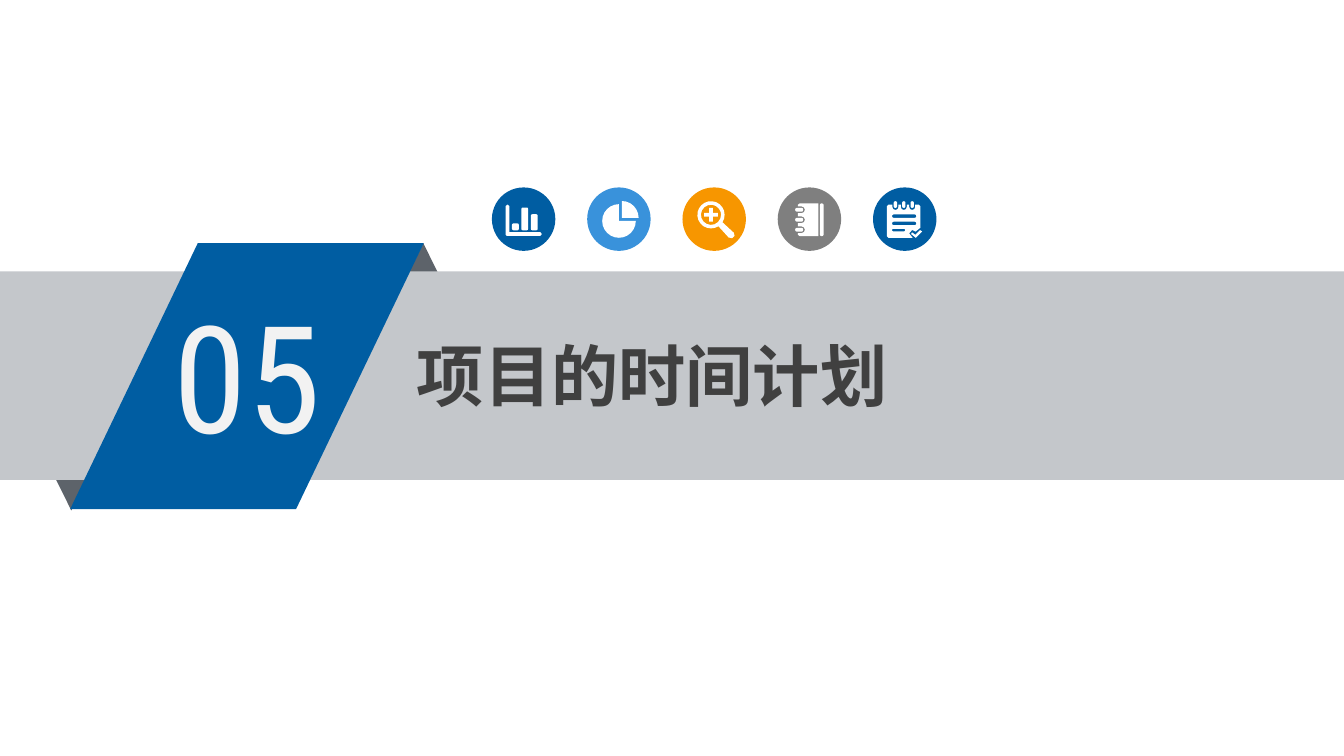
from math import cos, radians, sin
from lxml.etree import SubElement
from pptx import Presentation
from pptx.dml.color import RGBColor
from pptx.enum.shapes import MSO_SHAPE as Preset
from pptx.enum.text import MSO_ANCHOR as Anchor, MSO_AUTO_SIZE as AutoSize, PP_ALIGN as Align
from pptx.oxml.ns import qn
from pptx.util import Pt

BLUE = RGBColor(0x00, 0x5D, 0xA2)
SKY = RGBColor(0x39, 0x92, 0xDB)
ORANGE = RGBColor(0xF7, 0x96, 0x00)
GRAY = RGBColor(0x7F, 0x7F, 0x7F)
BAND = RGBColor(0xC4, 0xC7, 0xCB)
FOLD = RGBColor(0x5D, 0x63, 0x6A)
INK = RGBColor(0x40, 0x40, 0x40)
PALE = RGBColor(0xF2, 0xF2, 0xF2)
WHITE = RGBColor(0xFF, 0xFF, 0xFF)

SECTION_NUMBER = "05"
SECTION_TITLE = "项目的时间计划"

ICON_LEFT, ICON_TOP, ICON_SIZE, ICON_PITCH = 263.5, 100.4, 34, 51.05


def arc(x, y, radius, start, end, steps):
    angles = [radians(start + (end - start) * step / steps) for step in range(steps + 1)]
    return [(x + radius * cos(angle), y + radius * sin(angle)) for angle in angles]


def block(x, y, w, h, radius=0.8):
    corners = [
        (x + w - radius, y + h - radius, 0), (x + radius, y + h - radius, 90),
        (x + radius, y + radius, 180), (x + w - radius, y + radius, 270),
    ]
    return [point for cx, cy, start in corners for point in arc(cx, cy, radius, start, start + 90, 2)]


ring_rows = (12, 17.35, 22.7)
hook_columns = (12, 16.5, 21)
page_notches = [point for y in reversed(ring_rows)
                for point in [(10.8, y + 1.8)] + arc(12.8, y, 1.8, 90, -90, 4) + [(10.8, y - 1.8)]]
pad_notches = [point for x in hook_columns
               for point in [(x - 1.6, 9.3)] + arc(x, 10.5, 1.6, 180, 0, 4) + [(x + 1.6, 9.3)]]

bar_chart = [
    [(7.4, 10), (8.4, 9.2), (9.4, 10), (9.4, 24), (26, 24), (26.8, 25), (26, 26), (8, 26), (7.4, 25.4)],
    block(10.8, 19.3, 3.7, 3.7), block(15.8, 10.8, 3.7, 12.2), block(20.9, 14.4, 3.7, 8.6),
]
pie_chart = [
    [(18.6, 16.3)] + arc(18.6, 16.3, 9, -90, 0, 6),
    [(17.1, 18)] + arc(17.1, 18, 9, 0, 270, 18),
]
magnifier = [
    arc(15.3, 14.7, 7.3, 57, 393, 20) + [(27.5, 24.3), (27.9, 26), (26.6, 27.2), (24.8, 26.9)],
    arc(15.3, 14.7, 5.4, 0, 345, 15),
    [(11.6, 13.7), (14.3, 13.7), (14.3, 11), (16.3, 11), (16.3, 13.7), (19, 13.7),
     (19, 15.7), (16.3, 15.7), (16.3, 18.4), (14.3, 18.4), (14.3, 15.7), (11.6, 15.7)],
]
notebook = [
    [(11.8, 8.6), (21.8, 8.6), (21.8, 26.1), (11.8, 26.1), (10.8, 25.4)] + page_notches + [(10.8, 9.3)],
    block(22.6, 8.6, 2, 17.5),
] + [block(9.4, y - 1, 4.3, 2) for y in ring_rows]
notepad = [
    [(8.2, 9.3)] + pad_notches + [(24.6, 9.3), (25.4, 10.1), (25.4, 21.6), (22.8, 23.7), (21, 22.8),
                                  (19.4, 24.6), (21.2, 27), (8.2, 27), (7.4, 26.2), (7.4, 10.1)],
    block(10.2, 14.5, 13, 1.8), block(10.2, 18.4, 13, 1.8), block(10.2, 22.2, 7, 1.4, 0.6),
    [(20.9, 24.1), (22.7, 25.4), (25.2, 22.9), (26.3, 23.6), (22.9, 27), (20.4, 25)],
] + [block(x - 0.9, 7.4, 1.8, 3.6) for x in hook_columns]

icons = [
    (BLUE, bar_chart), (SKY, pie_chart), (ORANGE, magnifier), (GRAY, notebook), (BLUE, notepad),
]
ribbon = [
    (Preset.ISOSCELES_TRIANGLE, (194.4, 130.3, 64.8, 65.5), FOLD, 0),
    (Preset.ISOSCELES_TRIANGLE, (5.8, 208, 64.8, 65.5), FOLD, 180),
    (Preset.RECTANGLE, (0, 145.4, 720, 111.8), BAND, 0),
    (Preset.PARALLELOGRAM, (37.6, 130.3, 189.4, 142.5), BLUE, 0),
]


def paint(shape, color):
    shape.shadow.inherit = False
    shape.fill.solid()
    shape.fill.fore_color.rgb = color
    shape.line.fill.background()


def draw_symbol(shapes, contours, left):
    placed = [[(Pt(left + x), Pt(ICON_TOP + y)) for x, y in contour] for contour in contours]
    builder = shapes.build_freeform(*placed[0][0])
    for index, contour in enumerate(placed):
        if index:
            builder.move_to(*contour[0])
        builder.add_line_segments(contour[1:], close=True)
    paint(builder.convert_to_shape(), WHITE)


def write(box, text, size, family, color, bold, anchor, inset):
    frame = box.text_frame
    frame.text = text
    frame.word_wrap = True
    frame.auto_size = AutoSize.NONE
    frame.vertical_anchor = anchor
    frame.margin_left = frame.margin_right = Pt(inset)
    frame.margin_top = frame.margin_bottom = Pt(3)
    paragraph = frame.paragraphs[0]
    paragraph.alignment = Align.LEFT
    font = paragraph.font
    font.size, font.bold = Pt(size), bold
    font.color.rgb = color
    font.name = family
    SubElement(paragraph._p.pPr.find(qn("a:defRPr")), qn("a:ea"), typeface=family)


deck = Presentation()
deck.slide_width, deck.slide_height = Pt(720), Pt(405)
slide = deck.slides.add_slide(deck.slide_layouts[5])

for preset, place, color, turn in ribbon:
    piece = slide.shapes.add_shape(preset, *map(Pt, place))
    piece.rotation = turn
    paint(piece, color)
    if preset == Preset.PARALLELOGRAM:
        piece.adjustments[0] = 0.48

number = slide.shapes.add_textbox(Pt(88.2), Pt(149.4), Pt(104.4), Pt(102.2))
write(number, SECTION_NUMBER, 80, "Roboto Condensed", PALE, False, Anchor.TOP, 5)

title = slide.shapes.title
title.left, title.top, title.width, title.height = Pt(217.8), Pt(176.4), Pt(397.4), Pt(49)
write(title, SECTION_TITLE, 36, "Noto Sans CJK SC", INK, True, Anchor.MIDDLE, 5.5)
slide.shapes._spTree.append(title._element)

for position, (color, symbol) in enumerate(icons):
    left = ICON_LEFT + position * ICON_PITCH
    icon = slide.shapes.add_group_shape()
    disc = icon.shapes.add_shape(Preset.OVAL, *map(Pt, (left, ICON_TOP, ICON_SIZE, ICON_SIZE)))
    paint(disc, color)
    draw_symbol(icon.shapes, symbol, left)

deck.save("out.pptx")
